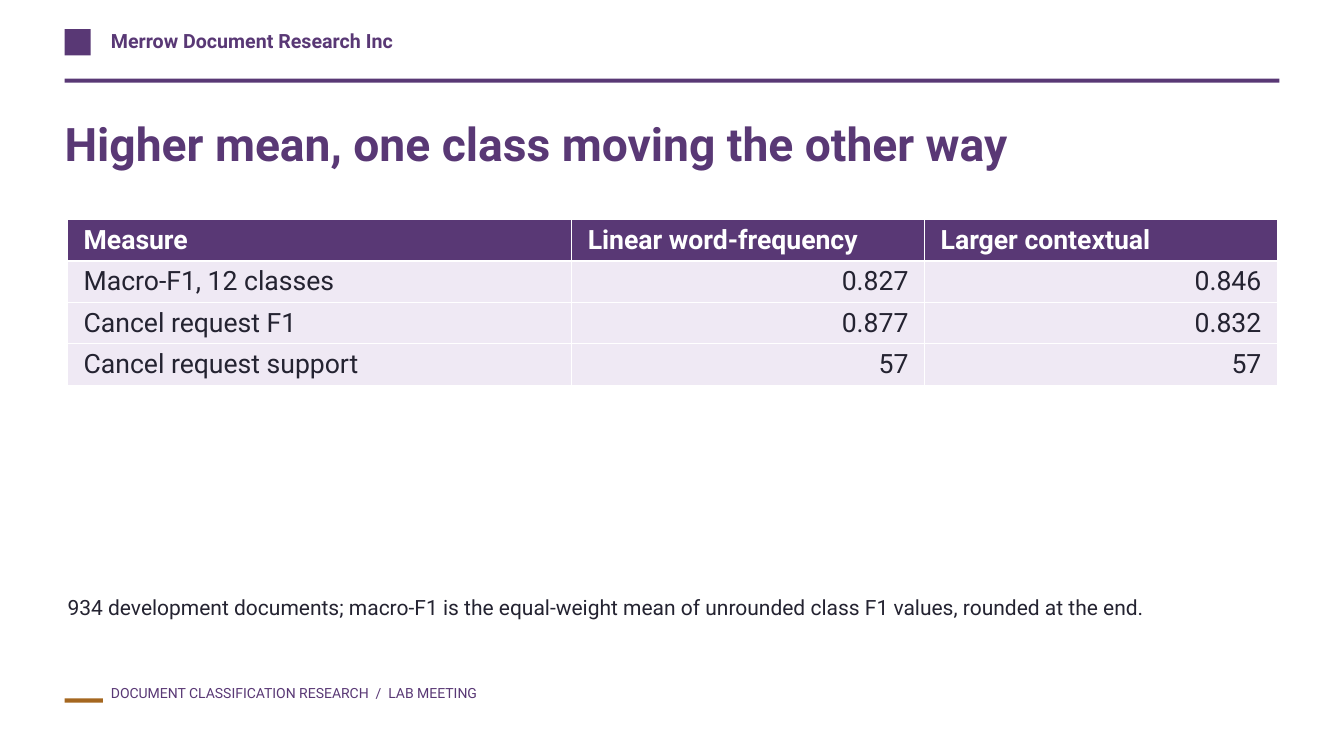
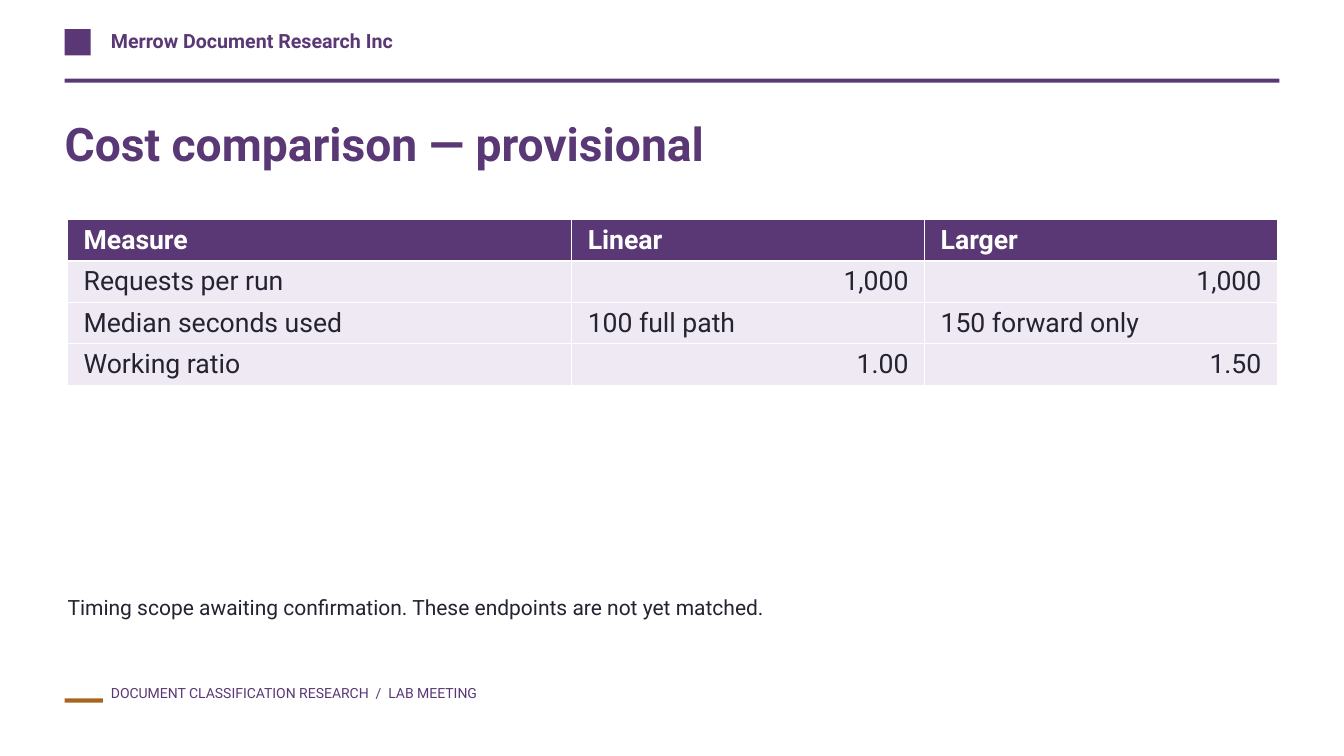
from dataclasses import dataclass

from lxml.etree import SubElement
from pptx import Presentation
from pptx.dml.color import RGBColor
from pptx.enum.shapes import MSO_SHAPE
from pptx.enum.text import MSO_ANCHOR, MSO_AUTO_SIZE, PP_ALIGN
from pptx.oxml.ns import qn
from pptx.util import Inches, Pt

SLIDE_WIDTH, SLIDE_HEIGHT = 13.33, 7.5
MARGIN = 0.64
LABEL_LEFT = 1.1
GRID_LEFT = 0.67  # table and note share a grid of twelve one-inch columns
COLUMN_SPANS = (5, 3.5, 3.5)
ROW_HEIGHT = 0.41
FONT = "Roboto"
COLORS = {
    "purple": "593875",
    "ochre": "A56720",
    "ink": "242331",
    "lilac": "EFE9F4",
    "white": "FFFFFF",
}


@dataclass(frozen=True)
class Area:
    left: float
    top: float
    width: float
    height: float

    def inches(self) -> tuple:
        return tuple(Inches(n) for n in (self.left, self.top, self.width, self.height))


@dataclass(frozen=True)
class TextStyle:
    size: float
    color: str
    bold: bool = False
    space_after: float = 0


@dataclass(frozen=True)
class Block:
    area: Area
    color: str


@dataclass(frozen=True)
class Label:
    text: str
    area: Area
    style: TextStyle


@dataclass(frozen=True)
class TablePage:
    title: str
    rows: tuple
    note: str


TITLE_AREA = Area(MARGIN, 1.14, SLIDE_WIDTH - 2 * MARGIN, 0.82)
TABLE_AREA = Area(GRID_LEFT, 2.18, sum(COLUMN_SPANS), 4 * ROW_HEIGHT)
NOTE_AREA = Area(GRID_LEFT, 5.9, sum(COLUMN_SPANS), 0.58)

TITLE_STYLE = TextStyle(33, "purple", True, 8)
HEADING_STYLE = TextStyle(19, "white", True)
CELL_STYLE = TextStyle(19, "ink")
NOTE_STYLE = TextStyle(15, "ink", space_after=8)

BLOCKS = (
    Block(Area(MARGIN, 0.29, 0.26, 0.26), "purple"),
    Block(Area(MARGIN, 0.78, SLIDE_WIDTH - 2 * MARGIN, 0.04), "purple"),
    Block(Area(MARGIN, 6.93, 0.38, 0.04), "ochre"),
)
LABELS = (
    Label("Merrow Document Research Inc", Area(LABEL_LEFT, 0.29, 3.1, 0.3),
          TextStyle(14, "purple", True)),
    Label("DOCUMENT CLASSIFICATION RESEARCH  /  LAB MEETING",
          Area(LABEL_LEFT, 6.79, 4.3, 0.35), TextStyle(10, "purple")),
)

PAGES = (
    TablePage(
        "Higher mean, one class moving the other way",
        (
            ("Measure", "Linear word-frequency", "Larger contextual"),
            ("Macro-F1, 12 classes", "0.827", "0.846"),
            ("Cancel request F1", "0.877", "0.832"),
            ("Cancel request support", "57", "57"),
        ),
        "934 development documents; macro-F1 is the equal-weight mean of "
        "unrounded class F1 values, rounded at the end.",
    ),
    TablePage(
        "Cost comparison — provisional",
        (
            ("Measure", "Linear", "Larger"),
            ("Requests per run", "1,000", "1,000"),
            ("Median seconds used", "100 full path", "150 forward only"),
            ("Working ratio", "1.00", "1.50"),
        ),
        "Timing scope awaiting confirmation. These endpoints are not yet matched.",
    ),
)


def rgb(name: str) -> RGBColor:
    return RGBColor.from_string(COLORS[name])


def is_number(text: str) -> bool:
    return text.replace(",", "").replace(".", "").isdigit()


def write(frame, text: str, style: TextStyle, align=PP_ALIGN.LEFT) -> None:
    """Set one paragraph of text and format its runs."""
    frame.text = text
    para = frame.paragraphs[0]
    para.alignment = align
    para.space_before = Pt(0)
    para.space_after = Pt(style.space_after)
    for span in para.runs:
        span.font.name = FONT
        span.font.size = Pt(style.size)
        span.font.bold = style.bold
        span.font.color.rgb = rgb(style.color)


def fill_box(box, text: str, area: Area, style: TextStyle) -> None:
    """Place a text box or placeholder without insets and write in it."""
    box.left, box.top, box.width, box.height = area.inches()
    frame = box.text_frame
    frame.margin_left = frame.margin_top = frame.margin_right = frame.margin_bottom = 0
    frame.word_wrap = True
    frame.auto_size = MSO_AUTO_SIZE.NONE
    frame.vertical_anchor = MSO_ANCHOR.TOP
    write(frame, text, style)


def remove_bullet(para) -> None:
    properties = para._p.get_or_add_pPr()
    properties.set("marL", "0")
    properties.set("indent", "0")
    SubElement(properties, qn("a:buNone"))


def add_block(page, block: Block):
    shape = page.shapes.add_shape(MSO_SHAPE.RECTANGLE, *block.area.inches())
    shape.shadow.inherit = False
    shape.fill.solid()
    shape.fill.fore_color.rgb = rgb(block.color)
    shape.line.fill.background()
    return shape


def add_label(page, label: Label):
    box = page.shapes.add_textbox(*label.area.inches())
    fill_box(box, label.text, label.area, label.style)
    return box


def move_frame_to_layout(page, layout) -> None:
    """Draw the header and footer once and hand them to the layout."""
    parts = [add_block(page, block) for block in BLOCKS]
    parts += [add_label(page, label) for label in LABELS]
    for number, part in enumerate(parts, start=101):
        part.element.nvSpPr.cNvPr.id = number
        layout.shapes.element.append(part.element)


def add_data_table(page, rows: tuple) -> None:
    table = page.shapes.add_table(
        len(rows), len(COLUMN_SPANS), *TABLE_AREA.inches()).table
    table.horz_banding = False
    for column, span in zip(table.columns, COLUMN_SPANS):
        column.width = Inches(span)
    for row_number, row in enumerate(rows):
        table.rows[row_number].height = Inches(ROW_HEIGHT)
        heading = row_number == 0
        for column_number, text in enumerate(row):
            cell = table.cell(row_number, column_number)
            cell.margin_left = cell.margin_right = Inches(0.16)
            cell.margin_top = cell.margin_bottom = Inches(0.05)
            cell.fill.solid()
            cell.fill.fore_color.rgb = rgb("purple" if heading else "lilac")
            write(cell.text_frame, text, HEADING_STYLE if heading else CELL_STYLE,
                  PP_ALIGN.RIGHT if is_number(text) else PP_ALIGN.LEFT)


def add_page(deck, layout, content: TablePage):
    page = deck.slides.add_slide(layout)
    fill_box(page.shapes.title, content.title, TITLE_AREA, TITLE_STYLE)
    add_data_table(page, content.rows)
    note = page.placeholders[1]
    fill_box(note, content.note, NOTE_AREA, NOTE_STYLE)
    remove_bullet(note.text_frame.paragraphs[0])
    return page


def main() -> None:
    deck = Presentation()
    deck.slide_width, deck.slide_height = Inches(SLIDE_WIDTH), Inches(SLIDE_HEIGHT)
    layout = deck.slide_layouts[1]
    pages = [add_page(deck, layout, content) for content in PAGES]
    move_frame_to_layout(pages[0], layout)
    deck.save("out.pptx")


if __name__ == "__main__":
    main()
